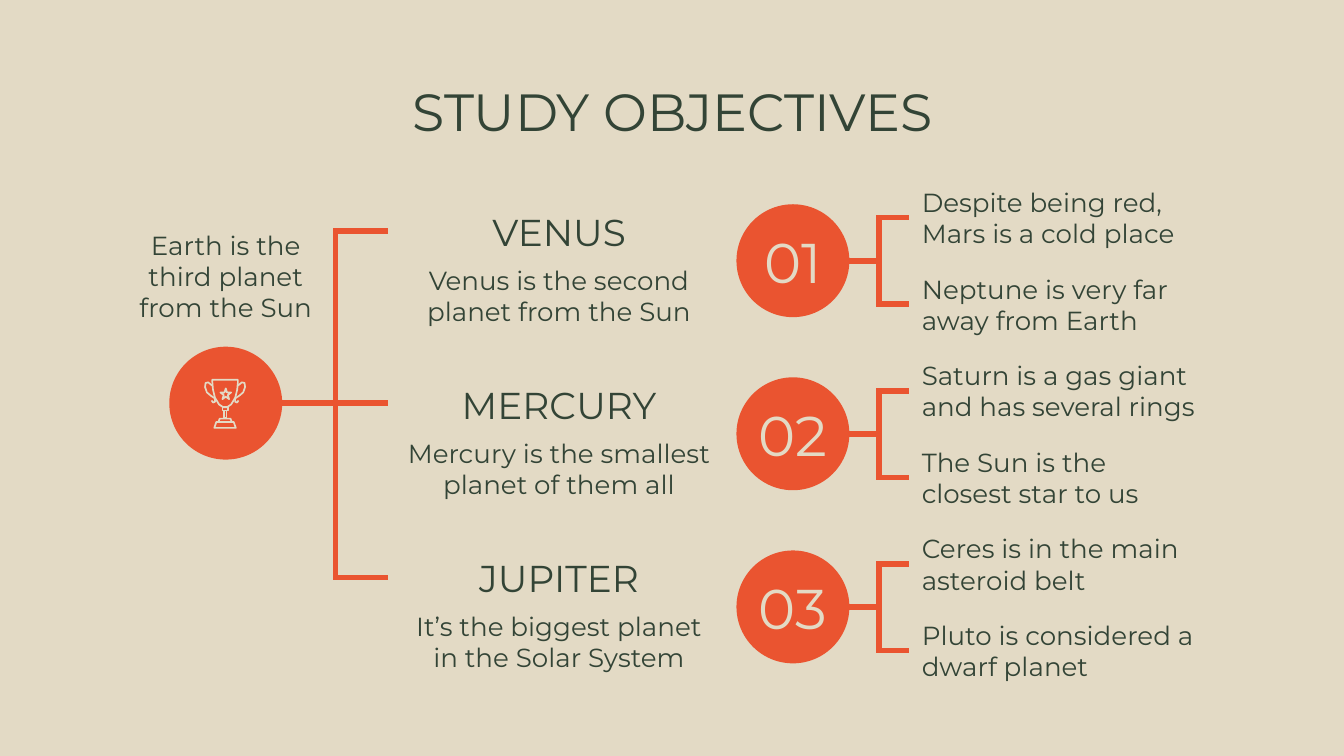
from dataclasses import dataclass

import pptx
import pptx.dml.color
import pptx.enum.shapes
import pptx.enum.text
import pptx.oxml.ns
import pptx.util
from lxml import etree

Inches = pptx.util.Inches
SHAPE = pptx.enum.shapes.MSO_SHAPE
LINK = pptx.enum.shapes.MSO_CONNECTOR
ALIGN = pptx.enum.text.PP_ALIGN
ANCHOR = pptx.enum.text.MSO_ANCHOR


def rgb(value):
    return pptx.dml.color.RGBColor.from_string(value)


@dataclass(frozen=True)
class Theme:
    font: str = "Montserrat"
    sand: str = "E3DAC5"
    ink: str = "334436"
    orange: str = "EA5430"
    title: int = 28
    number: int = 30
    heading: int = 20
    body: int = 14
    branch: float = 3
    icon: float = 0.9


THEME = Theme()
CIRCLE = 0.84

OBJECTIVES = [
    ("VENUS", "Venus is the second planet from the Sun",
     ["Despite being red, Mars is a cold place",
      "Neptune is very far away from Earth"]),
    ("MERCURY", "Mercury is the smallest planet of them all",
     ["Saturn is a gas giant and has several rings",
      "The Sun is the closest star to us"]),
    ("JUPITER", "It’s the biggest planet in the Solar System",
     ["Ceres is in the main asteroid belt",
      "Pluto is considered a dwarf planet"]),
]


def write(sp, text, size, color=THEME.ink, align=ALIGN.CENTER,
          anchor=ANCHOR.MIDDLE, side=0.1):
    tf = sp.text_frame
    tf.word_wrap = True
    tf.auto_size = pptx.enum.text.MSO_AUTO_SIZE.NONE
    tf.vertical_anchor = anchor
    tf.margin_left = tf.margin_right = Inches(side)
    tf.margin_top = tf.margin_bottom = Inches(0.1)
    tf.text = text
    p = tf.paragraphs[0]
    p.alignment = align
    font = p.runs[0].font
    font.name, font.size = THEME.font, pptx.util.Pt(size)
    font.color.rgb = rgb(color)


def add_text(slide, x, y, w, h, text, size, align=ALIGN.CENTER):
    sp = slide.shapes.add_textbox(Inches(x), Inches(y), Inches(w), Inches(h))
    write(sp, text, size, align=align)


def add_circle(slide, x, y):
    sp = slide.shapes.add_shape(SHAPE.OVAL, Inches(x), Inches(y),
                                Inches(CIRCLE), Inches(CIRCLE))
    sp.shadow.inherit = False
    sp.fill.solid()
    sp.fill.fore_color.rgb = rgb(THEME.orange)
    sp.line.fill.background()
    return sp


def add_branches(slide, x1, y1, x2, ends):
    """Join one point to several end heights, straight where level."""
    for y2 in ends:
        kind = LINK.STRAIGHT if abs(y2 - y1) < 0.02 else LINK.ELBOW
        end = y1 if kind == LINK.STRAIGHT else y2
        line = slide.shapes.add_connector(kind, Inches(x1), Inches(y1),
                                          Inches(x2), Inches(end))
        line.line.color.rgb = rgb(THEME.orange)
        line.line.width = pptx.util.Pt(THEME.branch)
        sp_pr = line._element.spPr
        etree.SubElement(sp_pr.find(pptx.oxml.ns.qn("a:ln")),
                         pptx.oxml.ns.qn("a:miter"), lim="800000")
        etree.SubElement(sp_pr, pptx.oxml.ns.qn("a:effectLst"))


def outline(sp):
    sp.shadow.inherit = False
    sp.fill.background()
    sp.line.color.rgb = rgb(THEME.sand)
    sp.line.width = pptx.util.Pt(THEME.icon)


def add_trophy(slide, x, y):
    """Draw a line trophy 0.31 by 0.37; points are hundredths of an inch."""
    handle = [(6, 5), (3, 2.5), (1, 3), (0.6, 6), (2, 10), (5, 12.5),
              (8, 14.5), (8, 17), (6.5, 17.5), (5.5, 16)]
    parts = [
        ([(6, 0.6), (25, 0.6), (25, 2.5), (24.5, 8), (23, 14), (20, 19),
          (17, 21), (14, 21), (11, 19), (8, 14), (6.5, 8), (6, 2.5)], True),
        ([(13.5, 21), (17.5, 21), (17.5, 23.5), (13.5, 23.5)], True),
        ([(14.5, 23.5), (16.5, 23.5), (16.5, 29), (14.5, 29)], True),
        ([(10.5, 32), (11.5, 29.5), (19.5, 29.5), (20.5, 32)], True),
        ([(9, 32), (22, 32), (23.5, 36.4), (7.5, 36.4)], True),
        (handle, False),
        ([(31 - px, py) for px, py in handle], False),
    ]
    for points, closed in parts:
        points = [(Inches(x + px / 100), Inches(y + py / 100))
                  for px, py in points]
        builder = slide.shapes.build_freeform(*points[0])
        builder.add_line_segments(points[1:], close=closed)
        outline(builder.convert_to_shape())
    outline(slide.shapes.add_shape(SHAPE.STAR_5_POINT, Inches(x + 0.12),
                                   Inches(y + 0.07), Inches(0.08), Inches(0.08)))


def add_title(slide, x, y, w, h, text):
    sp = slide.shapes.title
    sp.left, sp.top, sp.width, sp.height = map(Inches, (x, y, w, h))
    write(sp, text, THEME.title, anchor=ANCHOR.TOP)


def add_goal(slide, x, y, w, text):
    """Place the goal and its trophy; return the point where branches start."""
    add_text(slide, x, y, w, 1.03, text, THEME.body)
    cx, cy = x + w / 2, y + 1.46
    add_circle(slide, cx - CIRCLE / 2, cy - CIRCLE / 2)
    add_trophy(slide, cx - 0.16, cy - 0.18)
    return cx + CIRCLE / 2, cy


def add_objective(slide, x, y, step, number, heading, body, details):
    """Place one row of the tree; return the height of its heading's middle."""
    add_text(slide, x, y + 0.17, 2.54, 0.44, heading, THEME.heading)
    add_text(slide, x, y + 0.6, 2.54, 0.54, body, THEME.body)

    circle_x, detail_x, detail_h = x + 2.59, x + 3.87, 0.58
    circle = add_circle(slide, circle_x, y + 0.19)
    write(circle, f"{number:02}", THEME.number, THEME.sand, side=0)

    tops = [y + i * step for i in range(len(details))]
    add_branches(slide, circle_x + CIRCLE, y + 0.19 + CIRCLE / 2, detail_x,
                 [top + detail_h / 2 for top in tops])
    for top, detail in zip(tops, details):
        add_text(slide, detail_x, top, 2.28, detail_h, detail, THEME.body,
                 ALIGN.LEFT)
    return y + 0.39


def add_tree(slide, x, y, w, h):
    step = (h - 0.58) / 5
    goal_x, goal_y = add_goal(slide, x, y + 0.21, 1.52,
                              "Earth is the third planet from the Sun")
    row_x = x + w - 6.15
    ends = [add_objective(slide, row_x, y + 2 * i * step, step, i + 1, *row)
            for i, row in enumerate(OBJECTIVES)]
    add_branches(slide, goal_x, goal_y, row_x, ends)


def main():
    prs = pptx.Presentation()
    prs.slide_width = Inches(10)
    prs.slide_height = Inches(10 * 9 / 16)
    slide = prs.slides.add_slide(prs.slide_layouts.get_by_name("Title Only"))
    slide.background.fill.solid()
    slide.background.fill.fore_color.rgb = rgb(THEME.sand)
    add_title(slide, 0.79, 0.49, 8.43, 0.63, "STUDY OBJECTIVES")
    add_tree(slide, 0.92, 1.33, 8.12, 3.8)
    prs.save("out.pptx")


if __name__ == "__main__":
    main()
